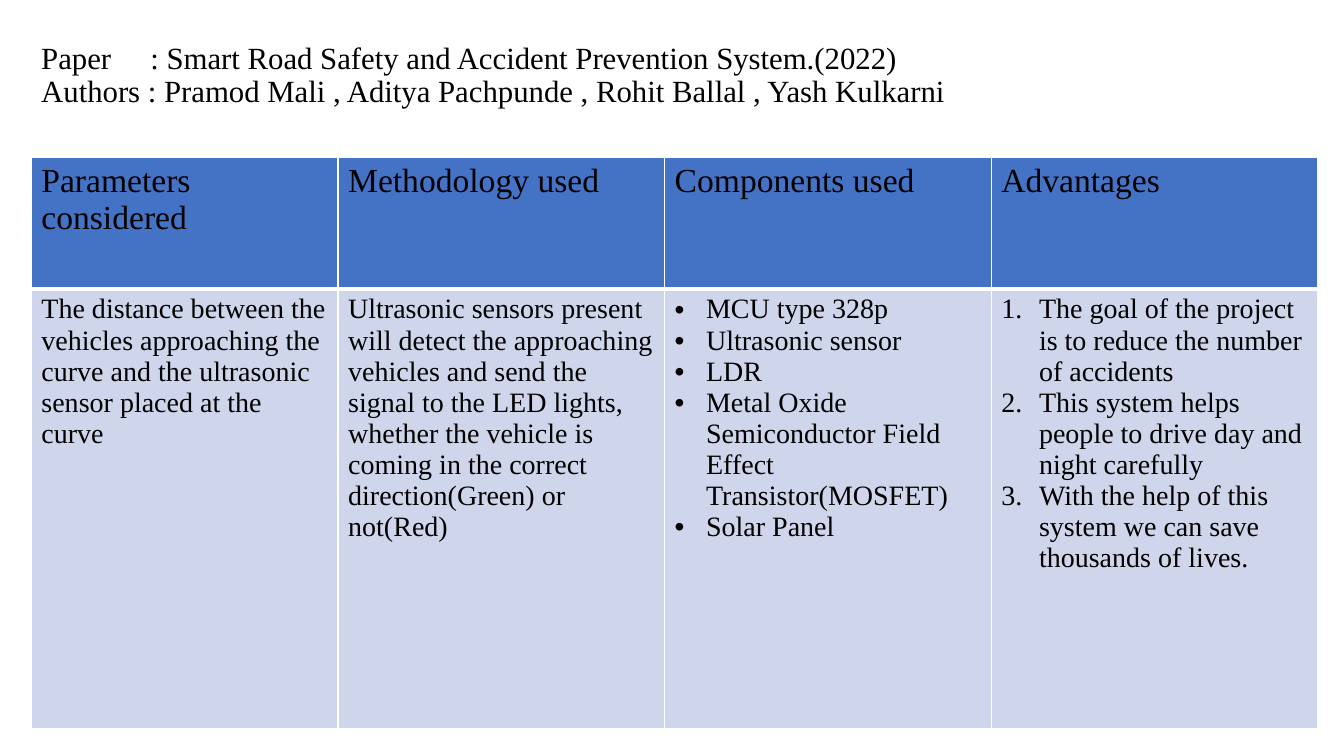
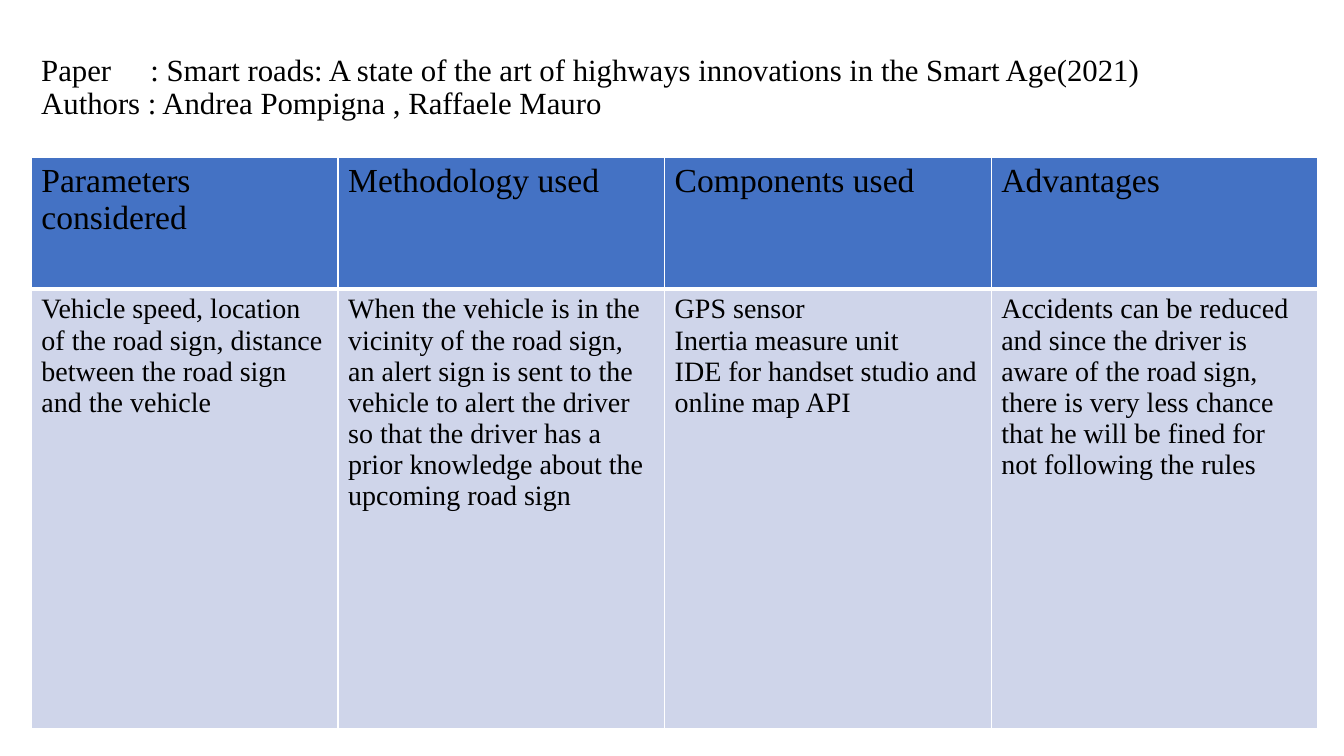
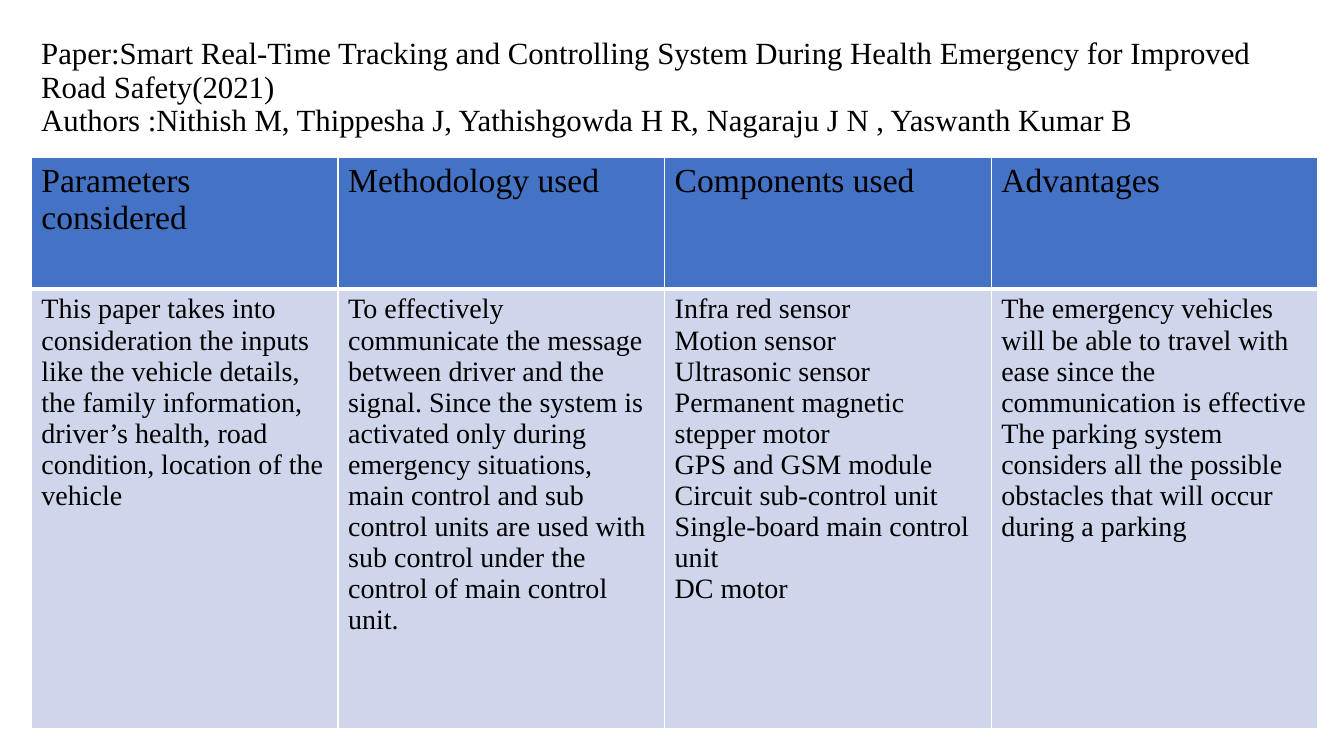
from dataclasses import dataclass
from enum import Enum

from lxml.etree import SubElement
from pptx import Presentation
from pptx.dml.color import RGBColor as Rgb
from pptx.enum.text import MSO_ANCHOR as Anchor, MSO_AUTO_SIZE as AutoSize
from pptx.oxml import parse_xml
from pptx.oxml.ns import nsdecls, qn
from pptx.slide import Slide
from pptx.table import _Cell as Cell
from pptx.text.text import _Paragraph as Paragraph
from pptx.util import Cm, Length, Pt


@dataclass(frozen=True)
class Theme:
    """Colours, type and line widths in points."""
    font: str = "Times New Roman"
    bullet_font: str = "Arial"
    text: str = "000000"
    header_fill: str = "4472C4"
    body_fill: str = "CFD5EA"
    border: str = "FFFFFF"
    title_size: int = 22
    header_size: int = 24
    body_size: int = 20
    thin: int = 1
    thick: int = 3


class Marker(Enum):
    """How the paragraphs of a cell are marked."""
    NONE = "none"
    BULLET = "bullet"
    NUMBER = "number"


@dataclass(frozen=True)
class Entry:
    """Content of one body cell, one string per paragraph."""
    lines: tuple[str, ...]
    marker: Marker = Marker.NONE


@dataclass(frozen=True)
class Review:
    """One reviewed paper: its heading and the four table entries."""
    heading: str
    entries: tuple[Entry, ...]
    heading_top: Length = Cm(1.02)


THEME = Theme()
LEFT, WIDTH = Cm(0.79), Cm(32.44)
HEADING_HEIGHT = Cm(2.41)
LABEL_TAB = Cm(2.75)
TABLE_TOP = Cm(3.96)
COLUMN_WIDTHS = (Cm(7.73),) + (Cm(8.23),) * 3
ROW_HEIGHTS = (Cm(3.32), Cm(11.07))
BULLET_INDENT, NUMBER_INDENT = Cm(0.79), Cm(0.95)
HEADERS = ("Parameters considered", "Methodology used",
           "Components used", "Advantages")

REVIEWS = (
    Review(
        "Paper\t: Smart Road Safety and Accident Prevention System.(2022)\v"
        "Authors : Pramod Mali , Aditya Pachpunde , Rohit Ballal , Yash Kulkarni",
        (
            Entry(("The distance between the vehicles approaching the curve and "
                   "the ultrasonic sensor placed at the curve",)),
            Entry(("Ultrasonic sensors present will detect the approaching "
                   "vehicles and send the signal to the LED lights, whether the "
                   "vehicle is coming in the correct direction(Green) or "
                   "not(Red)",)),
            Entry(("MCU type 328p", "Ultrasonic sensor", "LDR",
                   "Metal Oxide Semiconductor Field Effect Transistor(MOSFET)",
                   "Solar Panel"), Marker.BULLET),
            Entry(("The goal of the project is to reduce the number of accidents",
                   "This system helps people to drive day and night carefully",
                   "With the help of this system we can save thousands of lives."),
                  Marker.NUMBER),
        ),
        heading_top=Cm(0.71),
    ),
    Review(
        "Paper\t: Smart roads: A state of the art of highways innovations "
        "in the Smart Age(2021)\v"
        "Authors : Andrea Pompigna , Raffaele Mauro",
        (
            Entry(("Vehicle speed, location of the road sign, distance between "
                   "the road sign and the vehicle",)),
            Entry(("When the vehicle is in the vicinity of the road sign, an "
                   "alert sign is sent to the vehicle to alert the driver so that "
                   "the driver has a prior knowledge about the upcoming road "
                   "sign",)),
            Entry(("GPS sensor", "Inertia measure unit",
                   "IDE for handset studio and online map API")),
            Entry(("Accidents can be reduced and since the driver is aware of the "
                   "road sign, there is very less chance that he will be fined "
                   "for not following the rules",)),
        ),
    ),
    Review(
        "Paper:Smart Real-Time Tracking and Controlling System During Health "
        "Emergency for Improved Road Safety(2021)\v"
        "Authors :Nithish M, Thippesha J, Yathishgowda H R, Nagaraju J N , "
        "Yaswanth Kumar B",
        (
            Entry(("This paper takes into consideration the inputs like the "
                   "vehicle details, the family information, driver’s health, "
                   "road condition, location of the vehicle",)),
            Entry(("To effectively communicate the message between driver and the "
                   "signal. Since the system is activated only during emergency "
                   "situations, main control and sub control units are used with "
                   "sub control under the control of main control unit.",)),
            Entry(("Infra red sensor", "Motion sensor", "Ultrasonic sensor",
                   "Permanent magnetic stepper motor", "GPS and GSM module",
                   "Circuit sub-control unit", "Single-board main control unit",
                   "DC motor")),
            Entry(("The emergency vehicles will be able to travel with ease since "
                   "the communication is effective",
                   "The parking system considers all the possible obstacles that "
                   "will occur during a parking")),
        ),
    ),
)


def set_font(para: Paragraph, size: int) -> None:
    """Apply the theme font and text colour at the given size."""
    para.font.name = THEME.font
    para.font.size = Pt(size)
    para.font.bold = False
    para.font.color.rgb = Rgb.from_string(THEME.text)


def mark(para: Paragraph, marker: Marker) -> None:
    """Give a paragraph a hanging bullet or number."""
    if marker is Marker.NONE:
        return
    numbered = marker is Marker.NUMBER
    indent = NUMBER_INDENT if numbered else BULLET_INDENT
    props = para._p.get_or_add_pPr()
    props.set("marL", str(indent))
    props.set("indent", str(-indent))
    if numbered:
        SubElement(props, qn("a:buAutoNum"), type="arabicPeriod")
    else:
        SubElement(props, qn("a:buFont"), typeface=THEME.bullet_font)
        SubElement(props, qn("a:buChar"), char="•")


def set_borders(cell: Cell, top: int, bottom: int) -> None:
    """Draw the four borders of a cell; the sides are thin."""
    widths = {"lnL": THEME.thin, "lnR": THEME.thin, "lnT": top, "lnB": bottom}
    props = cell._tc.get_or_add_tcPr()
    for place, (tag, points) in enumerate(widths.items()):
        props.insert(place, parse_xml(
            f'<a:{tag} {nsdecls("a")} w="{Pt(points)}"><a:solidFill>'
            f'<a:srgbClr val="{THEME.border}"/></a:solidFill></a:{tag}>'))


def fill_cell(cell: Cell, entry: Entry, size: int, fill: str) -> None:
    """Write an entry into a cell and colour its background."""
    cell.fill.solid()
    cell.fill.fore_color.rgb = Rgb.from_string(fill)
    frame = cell.text_frame
    frame.text = "\n".join(entry.lines)
    for para in frame.paragraphs:
        mark(para, entry.marker)
        set_font(para, size)


def add_heading(page: Slide, review: Review) -> None:
    """Add the paper title and authors above the table."""
    box = page.shapes.add_textbox(LEFT, review.heading_top, WIDTH, HEADING_HEIGHT)
    frame = box.text_frame
    frame.word_wrap = True
    frame.auto_size = AutoSize.NONE
    frame.vertical_anchor = Anchor.MIDDLE
    para = frame.paragraphs[0]
    para.text = review.heading
    para.line_spacing = 0.9
    tabs = SubElement(para._p.get_or_add_pPr(), qn("a:tabLst"))
    SubElement(tabs, qn("a:tab"), pos=str(LABEL_TAB), algn="l")
    set_font(para, THEME.title_size)


def add_review_table(page: Slide, review: Review) -> None:
    """Add the header row and the row of entries."""
    table = page.shapes.add_table(
        len(ROW_HEIGHTS), len(HEADERS), LEFT, TABLE_TOP, WIDTH,
        sum(ROW_HEIGHTS)).table
    table.horz_banding = False
    for row, height in zip(table.rows, ROW_HEIGHTS):
        row.height = height
    for index, (header, entry) in enumerate(zip(HEADERS, review.entries)):
        table.columns[index].width = COLUMN_WIDTHS[index]
        head, body = table.cell(0, index), table.cell(1, index)
        fill_cell(head, Entry((header,)), THEME.header_size, THEME.header_fill)
        fill_cell(body, entry, THEME.body_size, THEME.body_fill)
        set_borders(head, top=THEME.thin, bottom=THEME.thick)
        set_borders(body, top=THEME.thick, bottom=THEME.thin)


def main() -> None:
    """Build one page per reviewed paper."""
    deck = Presentation()
    deck.slide_width, deck.slide_height = Cm(33.87), Cm(19.05)
    blank = deck.slide_layouts[6]
    for review in REVIEWS:
        page = deck.slides.add_slide(blank)
        add_heading(page, review)
        add_review_table(page, review)
    deck.save("out.pptx")


main()
